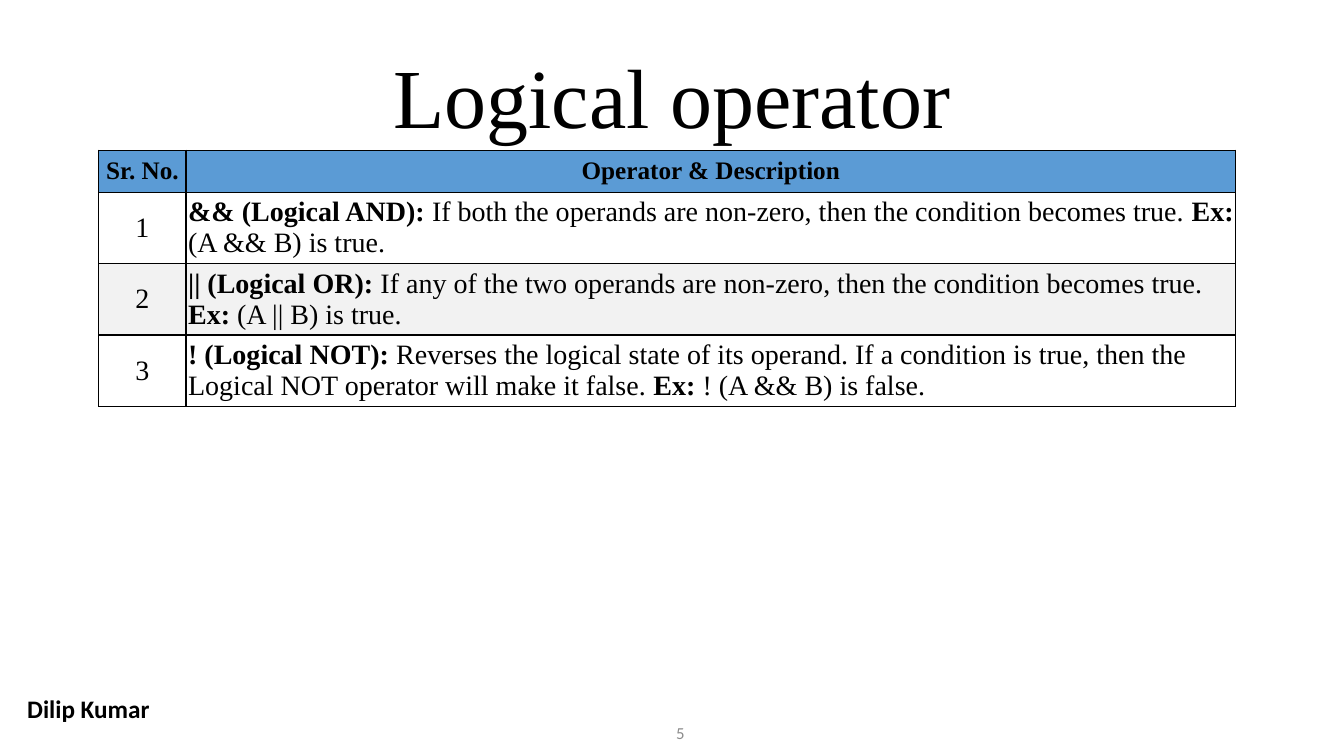
from lxml.etree import SubElement
from pptx import Presentation
from pptx.dml.color import RGBColor
from pptx.enum.text import MSO_ANCHOR as Anchor, PP_ALIGN as Align
from pptx.oxml.ns import qn
from pptx.util import Pt

BLACK = RGBColor(0x00, 0x00, 0x00)
WHITE = RGBColor(0xFF, 0xFF, 0xFF)
HEADER_BLUE = RGBColor(0x5B, 0x9B, 0xD5)
BAND_GREY = RGBColor(0xF2, 0xF2, 0xF2)
NUMBER_GREY = RGBColor(0x8C, 0x8C, 0x8C)
SERIF, SANS = "Times New Roman", "Calibri"

HEADINGS = ["Sr. No.", "Operator & Description"]
OPERATORS = [
    ("&& (Logical AND): ",
     "If both the operands are non-zero, then the condition becomes true. ",
     " (A && B) is true."),
    ("|| (Logical OR): ",
     "If any of the two operands are non-zero, then the condition becomes true. ",
     " (A || B) is true."),
    ("! (Logical NOT): ",
     "Reverses the logical state of its operand. If a condition is true, "
     "then the Logical NOT operator will make it false. ",
     " ! (A && B) is false."),
]


class PageBuilder:
    def __init__(self, page):
        self.page = page

    def add_spans(self, para, spans, size, font=SERIF, color=BLACK, align=Align.LEFT):
        """Fill a paragraph with (text, bold) spans."""
        para.alignment = align
        for text, bold in spans:
            span = para.add_run()
            span.text = text
            span.font.name = font
            span.font.size = Pt(size)
            span.font.bold = bold
            span.font.color.rgb = color

    def text(self, left, top, width, height, words, size, bold=False,
             anchor=Anchor.TOP, spacing=1.0, indent=7.2, **style):
        box = self.page.shapes.add_textbox(Pt(left), Pt(top), Pt(width), Pt(height))
        frame = box.text_frame
        frame.word_wrap = True
        frame.vertical_anchor = anchor
        frame.margin_left = Pt(indent)
        para = frame.paragraphs[0]
        para.line_spacing = spacing
        self.add_spans(para, [(words, bold)], size, **style)

    def table(self, left, top, widths, heights):
        frame = self.page.shapes.add_table(
            len(heights), len(widths), Pt(left), Pt(top),
            Pt(sum(widths)), Pt(sum(heights)))
        grid = frame.table
        grid.first_row = grid.horz_banding = False
        for column, width in zip(grid.columns, widths):
            column.width = Pt(width)
        for row, height in zip(grid.rows, heights):
            row.height = Pt(height)
        return grid

    def cell(self, cell, spans, size, fill, margin, align=Align.LEFT):
        cell.vertical_anchor = Anchor.MIDDLE
        cell.margin_left = cell.margin_right = Pt(margin)
        cell.margin_top = cell.margin_bottom = Pt(margin)
        self.border(cell)
        cell.fill.solid()
        cell.fill.fore_color.rgb = fill
        self.add_spans(cell.text_frame.paragraphs[0], spans, size, align=align)

    def border(self, cell):
        properties = cell._tc.get_or_add_tcPr()
        for side in ("lnL", "lnR", "lnT", "lnB"):
            line = SubElement(properties, qn(f"a:{side}"), w=str(Pt(1)))
            paint = SubElement(line, qn("a:solidFill"))
            SubElement(paint, qn("a:srgbClr"), val=str(BLACK))


def main():
    deck = Presentation()
    deck.slide_width, deck.slide_height = Pt(960), Pt(540)
    builder = PageBuilder(deck.slides.add_slide(deck.slide_layouts[6]))

    builder.text(0, 491.8, 134, 46, "Dilip Kumar", 18, bold=True,
                 indent=19.4, font=SANS)
    builder.text(0, 0.7, 960, 106.6, "Logical operator", 60,
                 anchor=Anchor.BOTTOM, spacing=1.5, align=Align.CENTER)
    builder.text(464.4, 509, 31.7, 28.8, "5", 12, anchor=Anchor.MIDDLE,
                 font=SANS, color=NUMBER_GREY, align=Align.RIGHT)

    grid = builder.table(70.6, 107.3, [62.3, 749.8], [30] + [47.9] * len(OPERATORS))
    for column, heading in enumerate(HEADINGS):
        builder.cell(grid.cell(0, column), [(heading, True)], 18,
                     HEADER_BLUE, 3.6, Align.CENTER)
    for number, (name, meaning, example) in enumerate(OPERATORS, start=1):
        fill = WHITE if number % 2 else BAND_GREY
        builder.cell(grid.cell(number, 0), [(str(number), False)], 20,
                     fill, 1.5, Align.CENTER)
        spans = [(name, True), (meaning, False), ("Ex:", True), (example, False)]
        builder.cell(grid.cell(number, 1), spans, 20, fill, 1.5)

    deck.save("out.pptx")


if __name__ == "__main__":
    main()
